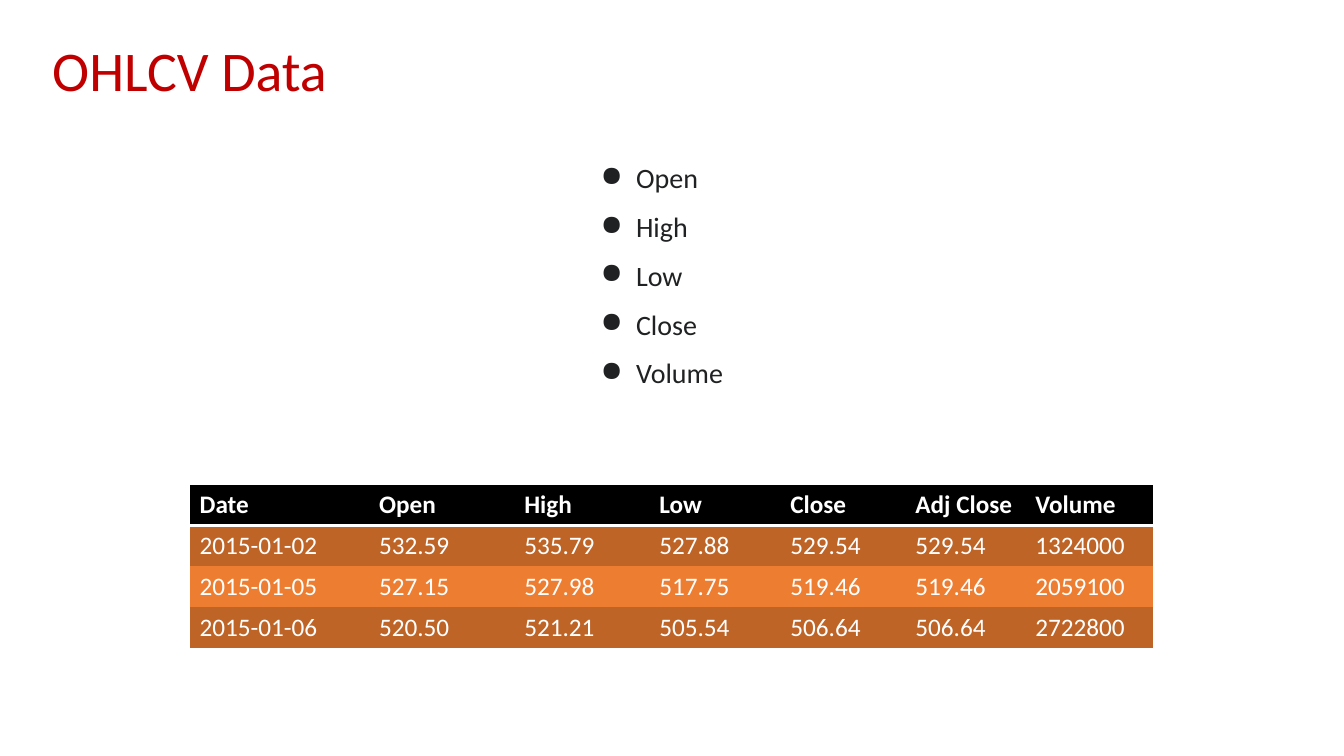
from dataclasses import dataclass

from lxml.etree import SubElement
from pptx import Presentation
from pptx.dml.color import RGBColor
from pptx.enum.text import MSO_ANCHOR
from pptx.oxml.ns import qn
from pptx.util import Pt

EMU_PER_PX = 9144  # 100 px to the inch
NO_GRID_STYLE = "{2D5ABB26-0587-4C30-8999-92F81FD0307C}"


@dataclass(frozen=True)
class Theme:
    font: str = "Calibri"
    title: str = "C00000"
    body: str = "202122"
    light: str = "FFFFFF"
    header: str = "000000"
    bands: tuple = ("BE6427", "ED7D31")
    title_size: int = 40
    body_size: int = 20
    table_size: int = 18
    rule_width: int = 2


THEME = Theme()
FIELDS = ["Open", "High", "Low", "Close", "Volume"]
COLUMN_WIDTHS = [178, 144, 134, 130, 124, 119, 127]
PRICES = [
    ["Date", "Open", "High", "Low", "Close", "Adj Close", "Volume"],
    ["2015-01-02", "532.59", "535.79", "527.88", "529.54", "529.54", "1324000"],
    ["2015-01-05", "527.15", "527.98", "517.75", "519.46", "519.46", "2059100"],
    ["2015-01-06", "520.50", "521.21", "505.54", "506.64", "506.64", "2722800"],
]


def px(length):
    return length * EMU_PER_PX


def add_run(paragraph, text, size, color, bold=False):
    run = paragraph.add_run()
    run.text = text
    run.font.name = THEME.font
    run.font.size = Pt(size)
    run.font.bold = bold
    run.font.color.rgb = RGBColor.from_string(color)


def add_text_frame(slide, box):
    text_frame = slide.shapes.add_textbox(*map(px, box)).text_frame
    text_frame.word_wrap = True
    return text_frame


def add_title(slide, box, text):
    text_frame = add_text_frame(slide, box)
    text_frame.vertical_anchor = MSO_ANCHOR.MIDDLE
    paragraph = text_frame.paragraphs[0]
    paragraph.line_spacing = 0.9
    add_run(paragraph, text, THEME.title_size, THEME.title)


def set_bullet(paragraph, color):
    properties = paragraph._p.get_or_add_pPr()
    properties.set("marL", str(px(50)))
    properties.set("indent", str(px(-35)))
    bullet_color = SubElement(properties, qn("a:buClr"))
    SubElement(bullet_color, qn("a:srgbClr"), val=color)
    SubElement(properties, qn("a:buChar"), char="●")


def add_bullet_list(slide, box, items):
    text_frame = add_text_frame(slide, box)
    for index, item in enumerate(items):
        paragraph = text_frame.add_paragraph() if index else text_frame.paragraphs[0]
        paragraph.line_spacing = 1.2
        paragraph.space_before = Pt(6)
        set_bullet(paragraph, THEME.body)
        add_run(paragraph, item, THEME.body_size, THEME.body)


def add_bottom_border(cell, color):
    # Borders come before the fill in the cell properties
    properties = cell._tc.get_or_add_tcPr()
    line = SubElement(properties, qn("a:lnB"), w=str(Pt(THEME.rule_width)))
    fill = SubElement(line, qn("a:solidFill"))
    SubElement(fill, qn("a:srgbClr"), val=color)
    properties.insert(0, line)


def add_price_table(slide, box, rows, column_widths):
    frame = slide.shapes.add_table(len(rows), len(column_widths), *map(px, box))
    table = frame.table
    table.horz_banding = False
    table._tbl.tblPr.find(qn("a:tableStyleId")).text = NO_GRID_STYLE
    for column, width in zip(table.columns, column_widths):
        column.width = px(width)

    for row_index, values in enumerate(rows):
        is_header = row_index == 0
        color = THEME.header if is_header else THEME.bands[(row_index - 1) % 2]
        for column_index, value in enumerate(values):
            cell = table.cell(row_index, column_index)
            cell.fill.solid()
            cell.fill.fore_color.rgb = RGBColor.from_string(color)
            if is_header:
                add_bottom_border(cell, THEME.light)
            paragraph = cell.text_frame.paragraphs[0]
            add_run(paragraph, value, THEME.table_size, THEME.light, is_header)


def build_data_slide(presentation):
    slide = presentation.slides.add_slide(presentation.slide_layouts[6])
    # Title
    add_title(slide, (42, 0, 1150, 145), "OHLCV Data")
    # List of fields
    add_bullet_list(slide, (571, 148, 191, 267), FIELDS)
    # Daily prices
    table_box = (188, 481, sum(COLUMN_WIDTHS), 162)
    add_price_table(slide, table_box, PRICES, COLUMN_WIDTHS)


def main():
    presentation = Presentation()
    presentation.slide_width = px(1333)
    presentation.slide_height = px(750)
    build_data_slide(presentation)
    presentation.save("out.pptx")


if __name__ == "__main__":
    main()
